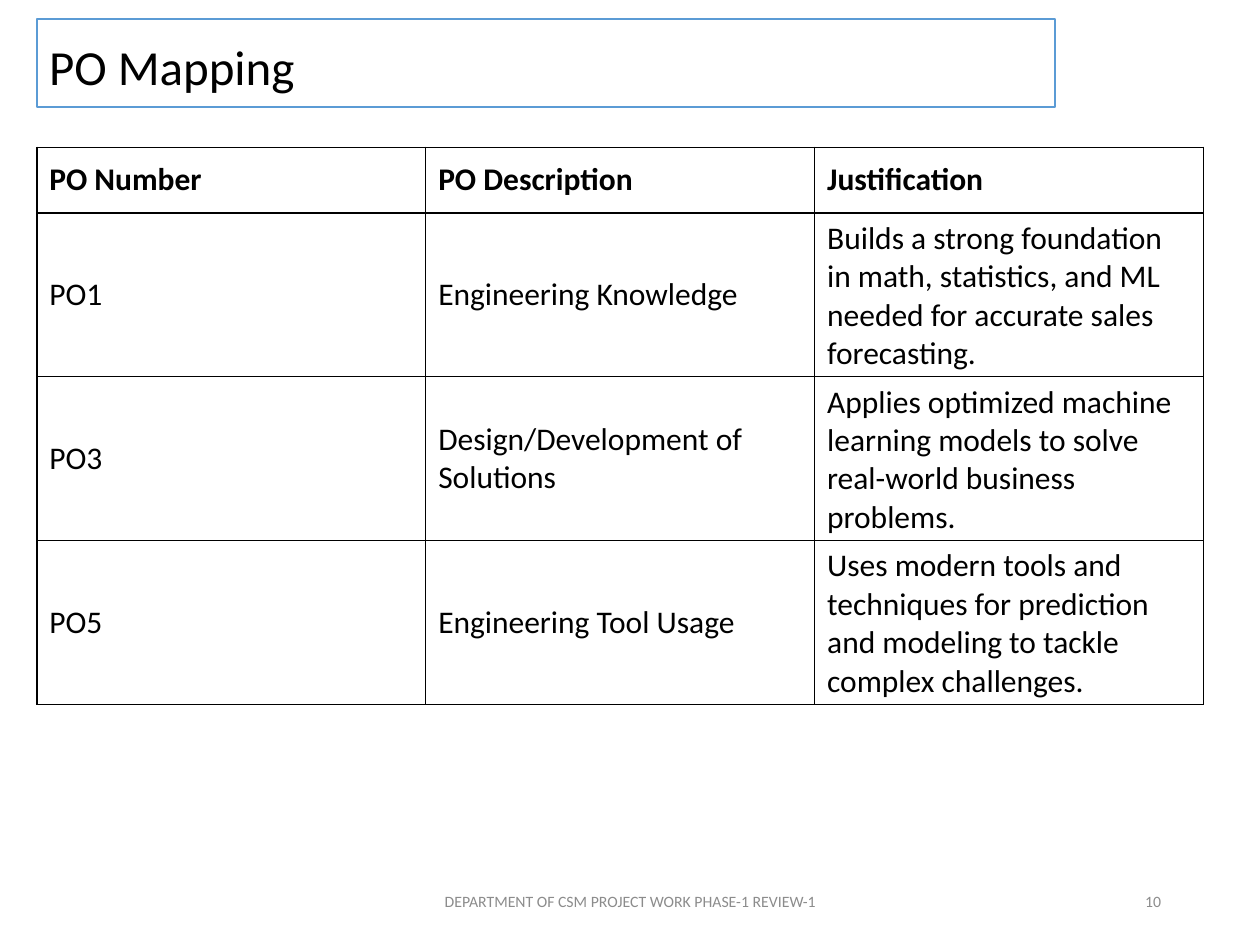
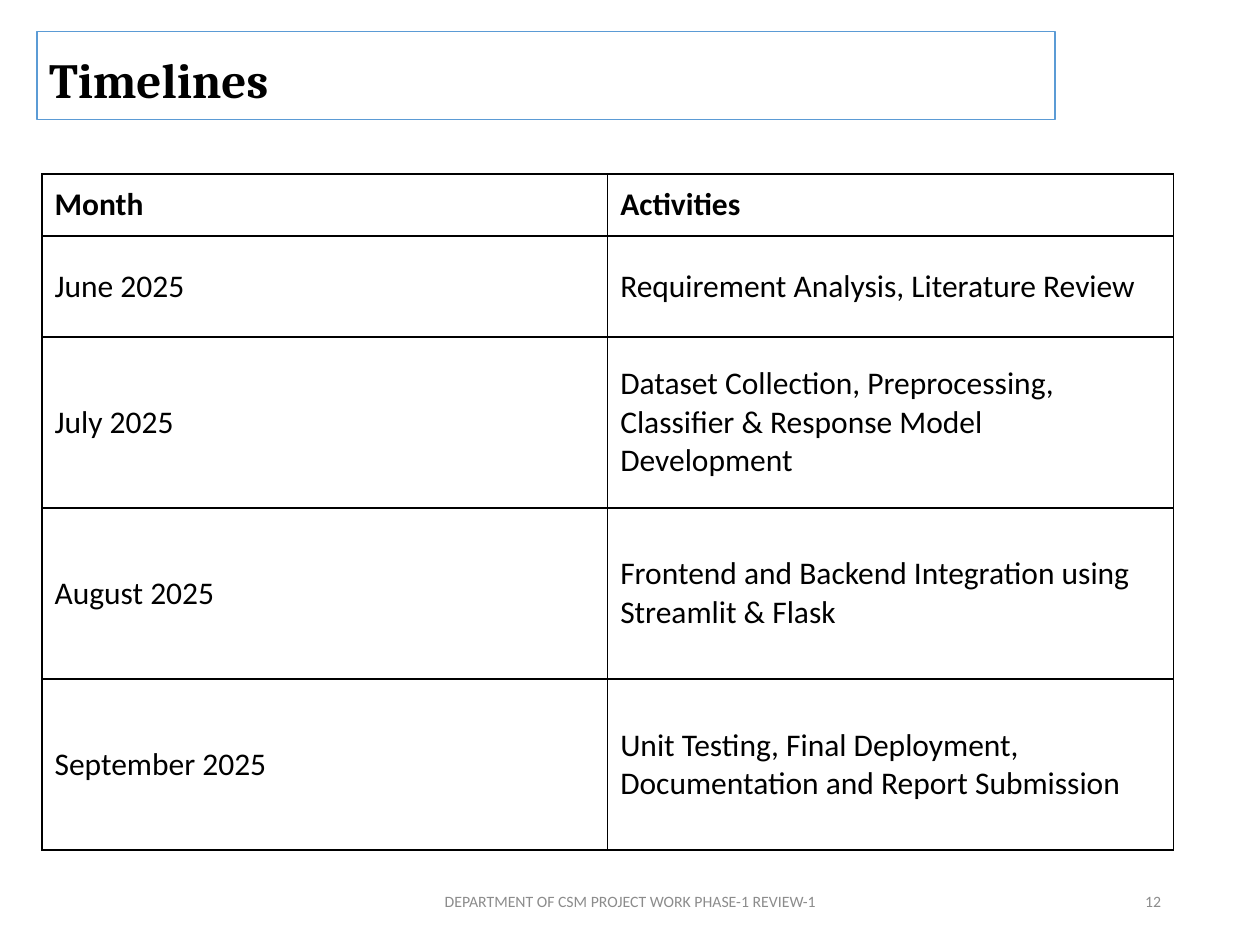
"""Builds the PO mapping and timeline slides of a project review."""
from dataclasses import dataclass

from lxml import etree
from pptx import Presentation
from pptx.dml.color import RGBColor
from pptx.enum.shapes import MSO_SHAPE
from pptx.enum.text import MSO_ANCHOR, PP_ALIGN
from pptx.oxml.ns import qn
from pptx.util import Pt

RECTANGLE = MSO_SHAPE.RECTANGLE
MIDDLE = MSO_ANCHOR.MIDDLE
LEFT, CENTER, RIGHT = PP_ALIGN.LEFT, PP_ALIGN.CENTER, PP_ALIGN.RIGHT
BLANK_LAYOUT = 6


@dataclass(frozen=True)
class Theme:
    """Colours, fonts and sizes shared by the slides."""
    paper: str = "FFFFFF"
    ink: str = "000000"
    accent: str = "5B9BD5"
    muted: str = "8C8C8C"
    body_font: str = "Calibri"
    serif_font: str = "Cambria"
    title_size: float = 28
    table_size: float = 18
    footer_size: float = 9
    line_width: float = 1


class ReviewDeck:
    """Holds the theme and the current slide, and draws each kind of element."""

    def __init__(self, theme):
        """Start a presentation of 10 by 7.5 inches."""
        self.theme = theme
        self.presentation = Presentation()
        self.presentation.slide_width = Pt(720)
        self.presentation.slide_height = Pt(540)
        self.slide = None

    def add_slide(self, number):
        """Add a blank slide with its footer and number."""
        layout = self.presentation.slide_layouts[BLANK_LAYOUT]
        self.slide = self.presentation.slides.add_slide(layout)
        self.add_footer("DEPARTMENT OF CSM PROJECT WORK PHASE-1 REVIEW-1", 238.5, 243, CENTER)
        self.add_footer(str(number), 508.5, 162, RIGHT)

    def set_text(self, text_frame, text, size, color=None, name=None, bold=False,
                 **paragraph_format):
        """Put one formatted paragraph into a text frame."""
        text_frame.word_wrap = True
        paragraph = text_frame.paragraphs[0]
        for key, value in {"alignment": LEFT, **paragraph_format}.items():
            setattr(paragraph, key, value)
        run = paragraph.add_run()
        run.text = text
        font_format = {"size": Pt(size), "name": name or self.theme.body_font, "bold": bold}
        for key, value in font_format.items():
            setattr(run.font, key, value)
        run.font.color.rgb = RGBColor.from_string(color or self.theme.ink)

    def add_footer(self, text, left, width, alignment):
        """Add a small grey text at the foot of the slide."""
        box = self.slide.shapes.add_textbox(Pt(left), Pt(500.5), Pt(width), Pt(28.75))
        box.text_frame.vertical_anchor = MIDDLE
        self.set_text(box.text_frame, text, self.theme.footer_size, self.theme.muted,
                      alignment=alignment)

    def add_title(self, text, top, **font_format):
        """Add the outlined title band."""
        band = self.slide.shapes.add_shape(RECTANGLE, Pt(21), Pt(top), Pt(582), Pt(50.4))
        band.shadow.inherit = False
        band.fill.solid()
        band.fill.fore_color.rgb = RGBColor.from_string(self.theme.paper)
        band.line.color.rgb = RGBColor.from_string(self.theme.accent)
        band.line.width = Pt(self.theme.line_width)
        band.text_frame.vertical_anchor = MIDDLE
        self.set_text(band.text_frame, text, self.theme.title_size,
                      line_spacing=1.1, space_before=Pt(12), **font_format)

    def add_borders(self, cell):
        """Draw a thin line on all four sides of a table cell."""
        properties = cell._tc.get_or_add_tcPr()
        for side in ("lnL", "lnR", "lnT", "lnB"):
            line = etree.SubElement(properties, qn(f"a:{side}"), w=str(Pt(self.theme.line_width)))
            fill = etree.SubElement(line, qn("a:solidFill"))
            etree.SubElement(fill, qn("a:srgbClr"), val=self.theme.ink)

    def add_table(self, left, top, column_width, row_heights, rows):
        """Add a ruled table with equal columns and a bold first row."""
        column_count = len(rows[0])
        table = self.slide.shapes.add_table(
            len(rows), column_count, Pt(left), Pt(top),
            Pt(column_width * column_count), Pt(sum(row_heights))).table
        table.first_row = table.horz_banding = False
        for column in table.columns:
            column.width = Pt(column_width)
        for row_index, (texts, height) in enumerate(zip(rows, row_heights)):
            table.rows[row_index].height = Pt(height)
            for column_index, text in enumerate(texts):
                cell = table.cell(row_index, column_index)
                self.add_borders(cell)
                cell.fill.solid()
                cell.fill.fore_color.rgb = RGBColor.from_string(self.theme.paper)
                cell.vertical_anchor = MIDDLE
                self.set_text(cell.text_frame, text, self.theme.table_size, bold=row_index == 0)


PO_ROWS = [
    ("PO Number", "PO Description", "Justification"),
    ("PO1", "Engineering Knowledge",
     "Builds a strong foundation in math, statistics, and ML needed for accurate sales "
     "forecasting."),
    ("PO3", "Design/Development of Solutions",
     "Applies optimized machine learning models to solve real-world business problems."),
    ("PO5", "Engineering Tool Usage",
     "Uses modern tools and techniques for prediction and modeling to tackle complex "
     "challenges."),
]
TIMELINE_ROWS = [
    ("Month", "Activities"),
    ("June 2025", "Requirement Analysis, Literature Review"),
    ("July 2025", "Dataset Collection, Preprocessing, Classifier & Response Model Development"),
    ("August 2025", "Frontend and Backend Integration using Streamlit & Flask"),
    ("September 2025", "Unit Testing, Final Deployment, Documentation and Report Submission"),
]


def main():
    """Build both slides and save the file."""
    deck = ReviewDeck(Theme())

    deck.add_slide(10)
    deck.add_title("PO Mapping", 10.8)
    deck.add_table(21, 84.25, 222.25, [37.4] + [89.3] * 3, PO_ROWS)

    deck.add_slide(12)
    deck.add_title("Timelines", 18, name=deck.theme.serif_font, bold=True)
    deck.add_table(24, 99.5, 323.25, [35.5, 57.5] + [97.75] * 3, TIMELINE_ROWS)

    deck.presentation.save("out.pptx")


if __name__ == "__main__":
    main()
